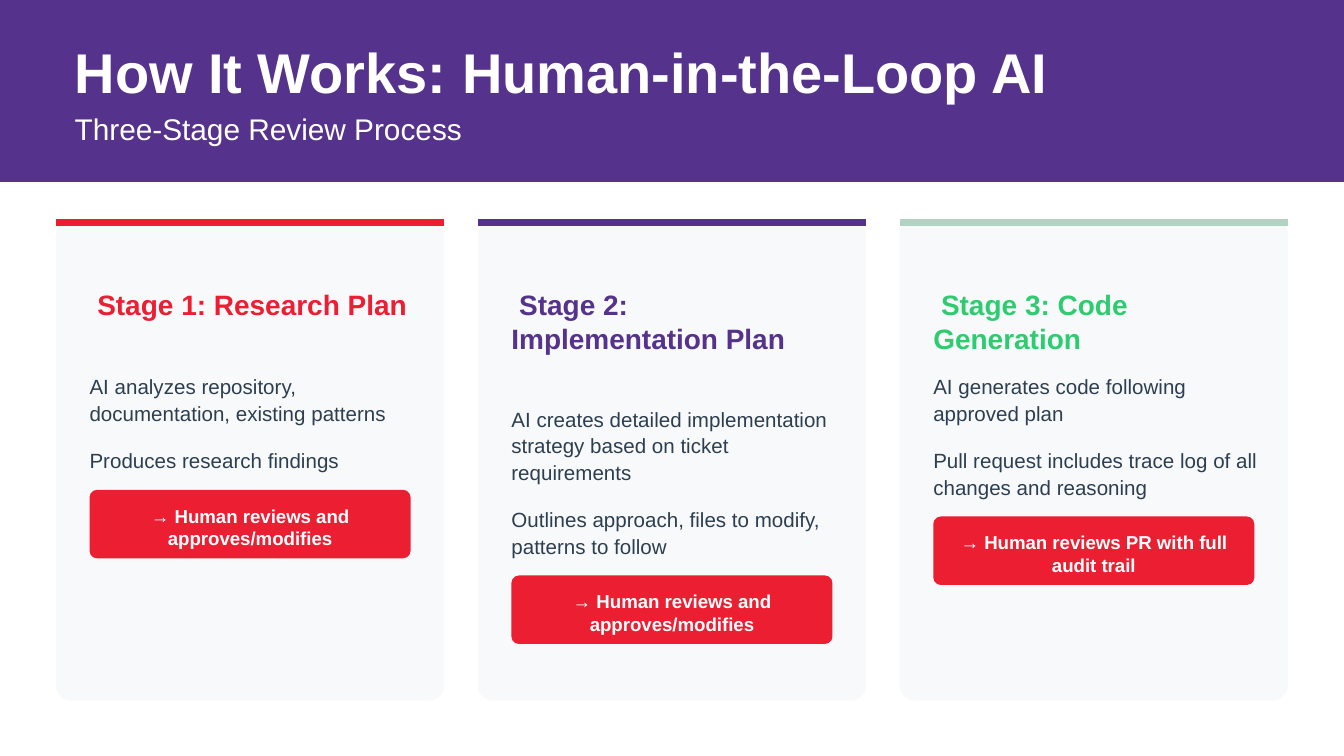
"""Build the slide on the three-stage human-in-the-loop review process."""
from dataclasses import dataclass

from lxml import etree
from pptx import Presentation
from pptx.dml.color import RGBColor
from pptx.enum import shapes, text
from pptx.oxml import ns
from pptx.util import Pt

FONT = "Arial"
WHITE = RGBColor(0xFF, 0xFF, 0xFF)
PURPLE = RGBColor(0x55, 0x32, 0x8C)
RED = RGBColor(0xEB, 0x1E, 0x32)
SAGE = RGBColor(0xB4, 0xD2, 0xC3)
GREEN = RGBColor(0x2E, 0xCC, 0x71)
INK = RGBColor(0x2C, 0x3E, 0x50)
PALE = RGBColor(0xF8, 0xF9, 0xFA)

CARD_LEFT, CARD_TOP, CARD_WIDTH, CARD_HEIGHT = 30, 117.4, 208, 257.8
CARD_STEP = 226
PADDING = 18
TEXT_WIDTH = 175.7
HEADING_TOP = 154.1
LINE_HEIGHT = 14.3
DETAIL_GAP, REVIEW_GAP = 11, 9
REVIEW_WIDTH, REVIEW_HEIGHT = 172, 36.7


@dataclass
class Detail:
    wording: str
    lines: int


@dataclass
class Stage:
    heading: str
    accent: RGBColor
    heading_color: RGBColor
    details_top: float
    details: list[Detail]
    review: str


STAGES = [
    Stage("Stage 1: Research Plan", RED, RED, 199.5, [
        Detail("AI analyzes repository, documentation, existing patterns", 2),
        Detail("Produces research findings", 1),
    ], "→ Human reviews and approves/modifies"),
    Stage("Stage 2: Implementation Plan", PURPLE, PURPLE, 216.8, [
        Detail("AI creates detailed implementation strategy based on ticket requirements", 3),
        Detail("Outlines approach, files to modify, patterns to follow", 2),
    ], "→ Human reviews and approves/modifies"),
    Stage("Stage 3: Code Generation", SAGE, GREEN, 199.5, [
        Detail("AI generates code following approved plan", 2),
        Detail("Pull request includes trace log of all changes and reasoning", 2),
    ], "→ Human reviews PR with full audit trail"),
]


def place(item, left: float, top: float, width: float, height: float) -> None:
    item.left, item.top = Pt(left), Pt(top)
    item.width, item.height = Pt(width), Pt(height)


def prepare_frame(item, side: float = 0, top: float = 0):
    frame = item.text_frame
    frame.word_wrap = True
    frame.auto_size = text.MSO_AUTO_SIZE.NONE
    frame.vertical_anchor = text.MSO_ANCHOR.TOP
    frame.margin_left = frame.margin_right = Pt(side)
    frame.margin_top, frame.margin_bottom = Pt(top), 0
    paragraph = frame.paragraphs[0]
    paragraph.alignment = text.PP_ALIGN.LEFT
    paragraph.space_before = Pt(0)
    return paragraph


def add_run(paragraph, wording: str, size: float, color: RGBColor, bold: bool = False) -> None:
    run = paragraph.add_run()
    run.text = wording
    run.font.name, run.font.size, run.font.bold = FONT, Pt(size), bold
    run.font.color.rgb = color


def add_panel(slide, kind, left: float, top: float, width: float, height: float,
              fill: RGBColor, rounding: float = 0):
    panel = slide.shapes.add_shape(kind, Pt(left), Pt(top), Pt(width), Pt(height))
    panel.shadow.inherit = False
    panel.fill.solid()
    panel.fill.fore_color.rgb = fill
    panel.line.fill.background()
    if rounding:
        panel.adjustments[0] = rounding
    return panel


def add_text(slide, left: float, top: float, height: float):
    box = slide.shapes.add_textbox(Pt(left), Pt(top), Pt(TEXT_WIDTH), Pt(height))
    return prepare_frame(box)


def add_accent(slide, left: float, color: RGBColor) -> None:
    height = Pt(CARD_TOP + 1.9)
    accent = slide.shapes.add_connector(
        shapes.MSO_CONNECTOR.STRAIGHT, Pt(left), height, Pt(left + CARD_WIDTH), height)
    accent.line.color.rgb = color
    accent.line.width = Pt(3.75)
    etree.SubElement(accent.element.spPr, ns.qn("a:effectLst"))


def add_stage(slide, stage: Stage, left: float) -> None:
    rounded = shapes.MSO_SHAPE.ROUNDED_RECTANGLE
    add_panel(slide, rounded, left, CARD_TOP, CARD_WIDTH, CARD_HEIGHT, PALE, 0.038)
    add_accent(slide, left, stage.accent)
    inner = left + PADDING
    heading = add_text(slide, inner, HEADING_TOP, stage.details_top - HEADING_TOP - DETAIL_GAP)
    add_run(heading, " ", 15, stage.heading_color)
    add_run(heading, stage.heading, 15, stage.heading_color, True)

    top = stage.details_top
    for detail in stage.details:
        height = detail.lines * LINE_HEIGHT
        paragraph = add_text(slide, inner, top, height)
        paragraph.line_spacing = Pt(LINE_HEIGHT)
        add_run(paragraph, detail.wording, 11, INK)
        top += height + DETAIL_GAP

    review = add_panel(slide, rounded, inner, top - DETAIL_GAP + REVIEW_GAP,
                       REVIEW_WIDTH, REVIEW_HEIGHT, RED, 0.11)
    paragraph = prepare_frame(review, 5.4, 6.75)
    paragraph.alignment = text.PP_ALIGN.CENTER
    add_run(paragraph, stage.review, 10, WHITE, True)


def add_header(slide) -> None:
    band = add_panel(slide, shapes.MSO_SHAPE.RECTANGLE, 0, 0, 720, 97.5, PURPLE)
    band.element.getparent().insert(2, band.element)
    title, subtitle = slide.placeholders
    place(title, 40, 20.2, 653, 34)
    add_run(prepare_frame(title), "How It Works: Human-in-the-Loop AI", 30, WHITE, True)
    place(subtitle, 40, 59.3, 653, 19)
    add_run(prepare_frame(subtitle), "Three-Stage Review Process", 16, WHITE)


def main() -> None:
    deck = Presentation()
    deck.slide_width, deck.slide_height = Pt(720), Pt(405)
    slide = deck.slides.add_slide(deck.slide_layouts[0])
    add_header(slide)
    for index, stage in enumerate(STAGES):
        add_stage(slide, stage, CARD_LEFT + index * CARD_STEP)
    deck.save("out.pptx")


if __name__ == "__main__":
    main()
